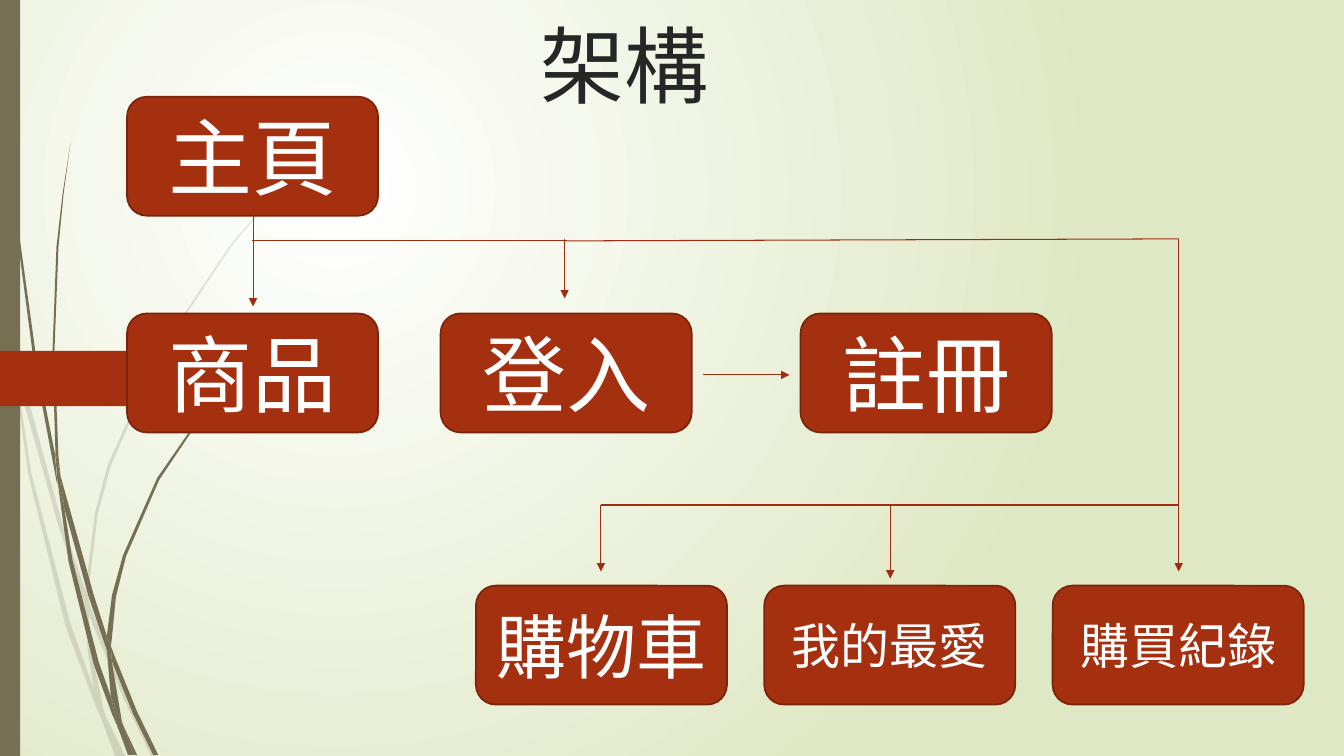
import pptx
import pptx.util
import pptx.dml.color
import pptx.enum.shapes
import pptx.enum.text
import pptx.oxml
import pptx.oxml.ns
from lxml import etree

Inches, Pt = pptx.util.Inches, pptx.util.Pt
MSO_SHAPE = pptx.enum.shapes.MSO_SHAPE
qn = pptx.oxml.ns.qn

RED, RED_EDGE, RED_LINE = "A53010", "7A240C", "9E2E0F"
OLIVE, INK, WHITE, GREEN = "766F54", "262626", "FFFFFF", "DFE8C4"
CJK, TITLE_FONT = "Noto Sans CJK SC", "TeX Gyre Adventor"
BOX_W, BOX_H = 2.49, 1.18


def rgb(color):
    return pptx.dml.color.RGBColor.from_string(color)


class Canvas:
    def __init__(self, s):
        self.s = s

    def background(self, inner, outer):
        fill = self.s.background.fill
        fill.gradient()
        for stop, color in zip(fill.gradient_stops, (inner, outer)):
            stop.color.rgb = rgb(color)
        grad = self.s._element.find(".//" + qn("a:gradFill"))
        lin = grad.find(qn("a:lin"))
        circle = etree.Element(qn("a:path"), {"path": "circle"})
        etree.SubElement(circle, qn("a:fillToRect"),
                         {"l": "50000", "t": "50000", "r": "100000", "b": "100000"})
        grad.replace(lin, circle)

    def paint(self, sp, color, edge=None):
        sp.shadow.inherit = False
        sp.fill.solid()
        sp.fill.fore_color.rgb = rgb(color)
        if edge:
            sp.line.color.rgb = rgb(edge)
            sp.line.width = Pt(1.25)
        else:
            sp.line.fill.background()

    def shape(self, kind, x, y, w, h, color, edge=None):
        sp = self.s.shapes.add_shape(kind, Inches(x), Inches(y), Inches(w), Inches(h))
        self.paint(sp, color, edge)
        return sp

    def outline(self, points, color, alpha=None):
        pts = [(Inches(x), Inches(y)) for x, y in points]
        builder = self.s.shapes.build_freeform(*pts[0])
        builder.add_line_segments(pts[1:], close=True)
        sp = builder.convert_to_shape()
        self.paint(sp, color)
        if alpha:
            clr = sp._element.spPr.find(qn("a:solidFill"))[0]
            etree.SubElement(clr, qn("a:alpha"), val=str(alpha * 1000))

    def put_text(self, sp, text, size, font, color, align, anchor):
        tf = sp.text_frame
        tf.word_wrap = True
        tf.vertical_anchor = anchor
        p = tf.paragraphs[0]
        p.text = text
        p.alignment = align
        p.font.size = Pt(size)
        p.font.name = font
        p.font.color.rgb = rgb(color)
        latin = p._p.find(".//" + qn("a:latin"))
        latin.addnext(etree.Element(qn("a:ea"), typeface=CJK))

    def title(self, text, x, y, w, h):
        sp = self.s.shapes.add_textbox(Inches(x), Inches(y), Inches(w), Inches(h))
        self.put_text(sp, text, 60, TITLE_FONT, INK, pptx.enum.text.PP_ALIGN.LEFT,
                      pptx.enum.text.MSO_ANCHOR.BOTTOM)

    def box(self, text, x, y, size):
        sp = self.shape(MSO_SHAPE.ROUNDED_RECTANGLE, x, y, BOX_W, BOX_H, RED, RED_EDGE)
        self.put_text(sp, text, size, CJK, WHITE, pptx.enum.text.PP_ALIGN.CENTER,
                      pptx.enum.text.MSO_ANCHOR.MIDDLE)

    def line(self, x1, y1, x2, y2, arrow=False):
        c = self.s.shapes.add_connector(pptx.enum.shapes.MSO_CONNECTOR.STRAIGHT,
                                        Inches(x1), Inches(y1), Inches(x2), Inches(y2))
        c.line.color.rgb = rgb(RED_LINE)
        c.line.width = Pt(0.75)
        spPr = c._element.spPr
        if arrow:
            etree.SubElement(spPr.find(qn("a:ln")), qn("a:tailEnd"), type="triangle")
        etree.SubElement(spPr, qn("a:effectLst"))


PALE_BLADES = [
    [(0.11, 3.5), (0.09, 3.22), (0, 2.82), (0, 2.99), (0.1, 3.44)],
    [(0.58, 5.22), (0.84, 5.99), (0.85, 5.86), (0.62, 5.2), (0.14, 3.45), (0.17, 3.76)],
    [(0.92, 6.07), (0.88, 5.96), (0.88, 6.1), (1.23, 6.94), (1.5, 7.5), (1.55, 7.5),
     (1.27, 6.92)],
    [(1.19, 7.5), (1.24, 7.5), (1.05, 7.11)],
    [(0.93, 6.83), (0.7, 6.19), (0.31, 4.69), (0.17, 3.76), (0.11, 3.5), (0.28, 4.7),
     (0.65, 6.21), (0.92, 6.93), (1.01, 7.14), (0.99, 7.07)],
    [(0.84, 5.99), (0.87, 6.46), (0.93, 6.83), (0.96, 6.92), (1.05, 7.11), (1.03, 7.06),
     (0.91, 6.46), (0.88, 6.1), (0.88, 6.08)],
    [(0.88, 5.84), (0.97, 5.1), (1.1, 4.62), (1.6, 3.49), (2.29, 2.45), (2.68, 1.98),
     (2.9, 1.75), (3.12, 1.54), (3.12, 1.53), (2.89, 1.75), (2.68, 1.97), (2.28, 2.44),
     (1.58, 3.48), (1.07, 4.61), (0.94, 5.1), (0.85, 5.84), (0.85, 5.86), (0.88, 5.96)],
    [(1.01, 7.14), (1.14, 7.5), (1.19, 7.5)],
    [(0.88, 6.08), (0.88, 6.1), (0.88, 5.96), (0.85, 5.86), (0.84, 5.99)],
    [(0.96, 6.92), (0.93, 6.83), (0.99, 7.07), (1.01, 7.14), (1.19, 7.5), (1.05, 7.11)],
]
DARK_BLADES = [
    [(0.07, 1.1), (0.17, 2.33), (0.33, 3.55), (0.56, 4.77), (0.57, 4.81), (0.55, 4.57),
     (0.55, 4.53), (0.36, 3.55), (0.19, 2.32), (0.08, 1.09), (0.05, 0.48), (0.04, 0),
     (0.03, 0), (0.04, 0.48)],
    [(0.88, 5.92), (1.06, 6.45), (1.06, 6.31), (0.93, 5.9), (0.6, 4.72), (0.64, 5.05)],
    [(1.13, 6.49), (1.1, 6.41), (1.11, 6.56), (1.32, 7.08), (1.52, 7.49), (1.57, 7.49),
     (1.36, 7.06)],
    [(1.1, 6.91), (0.98, 6.57), (0.72, 5.56), (0.64, 5.05), (0.57, 4.77), (0.68, 5.57),
     (0.93, 6.59), (1.11, 7.08), (1.17, 7.22), (1.16, 7.17)],
    [(0.6, 4.72), (0.58, 4.53), (0.54, 3.49), (0.58, 2.45), (0.63, 1.93), (0.7, 1.41),
     (0.62, 1.93), (0.56, 2.45), (0.52, 3.49), (0.55, 4.49)],
    [(1.33, 7.49), (1.36, 7.49), (1.22, 7.19)],
    [(0.57, 4.77), (0.64, 5.05), (0.6, 4.72), (0.55, 4.49), (0.55, 4.53)],
    [(1.11, 6.33), (1.15, 5.92), (1.25, 5.52), (1.58, 4.76), (2.05, 4.06), (2.31, 3.74),
     (2.45, 3.59), (2.61, 3.44), (2.6, 3.44), (2.45, 3.58), (2.31, 3.73), (2.04, 4.05),
     (1.56, 4.74), (1.22, 5.51), (1.11, 5.91), (1.06, 6.31), (1.1, 6.41)],
    [(1.17, 7.22), (1.27, 7.49), (1.31, 7.49)],
    [(1.06, 6.45), (1.1, 6.91), (1.16, 7.06), (1.22, 7.19), (1.21, 7.16), (1.11, 6.56),
     (1.09, 6.51)],
    [(1.06, 6.45), (1.09, 6.51), (1.11, 6.56), (1.1, 6.41), (1.06, 6.31)],
    [(1.16, 7.06), (1.1, 6.91), (1.16, 7.17), (1.17, 7.22), (1.3, 7.49), (1.33, 7.49),
     (1.22, 7.19)],
]
PAGE_TAB = [(0, 3.48), (1.46, 3.48), (1.48, 3.49), (1.73, 3.74), (1.73, 3.77),
            (1.48, 4.02), (1.46, 4.03), (0, 4.03)]

prs = pptx.Presentation()
prs.slide_width, prs.slide_height = Inches(13.33), Inches(7.5)
canvas = Canvas(prs.slides.add_slide(prs.slide_layouts[6]))

canvas.background(WHITE, GREEN)
for blade in PALE_BLADES:
    canvas.outline(blade, OLIVE, 20)
for blade in DARK_BLADES:
    canvas.outline(blade, OLIVE)
canvas.shape(MSO_SHAPE.RECTANGLE, 0, 0, 0.2, 7.5, OLIVE)
canvas.outline(PAGE_TAB, RED)

canvas.box("主頁", 1.26, 0.96, 60)
for text, x in [("商品", 1.26), ("登入", 4.37), ("註冊", 7.94)]:
    canvas.box(text, x, 3.11, 60)
for i, (text, size) in enumerate([("購物車", 50), ("我的最愛", 35), ("購買紀錄", 35)]):
    canvas.box(text, 4.72 + 2.86 * i, 5.81, size)

for x1, y1, x2, y2 in [(2.5, 2.39, 5.62, 2.39), (5.62, 2.39, 11.69, 2.37),
                       (5.96, 5.01, 8.6, 5.01), (8.6, 5.01, 11.69, 5.01)]:
    canvas.line(x1, y1, x2, y2)
for x, top, bottom in [(2.51, 2.03, 3.04), (5.6, 2.37, 2.96), (11.69, 2.37, 5.67),
                       (5.96, 5.01, 5.67), (8.83, 5.01, 5.74)]:
    canvas.line(x, top, x, bottom, arrow=True)
canvas.line(6.97, 3.72, 7.83, 3.72, arrow=True)

canvas.title("架構", 5.26, 0.16, 2.14, 1.02)
prs.save("out.pptx")
